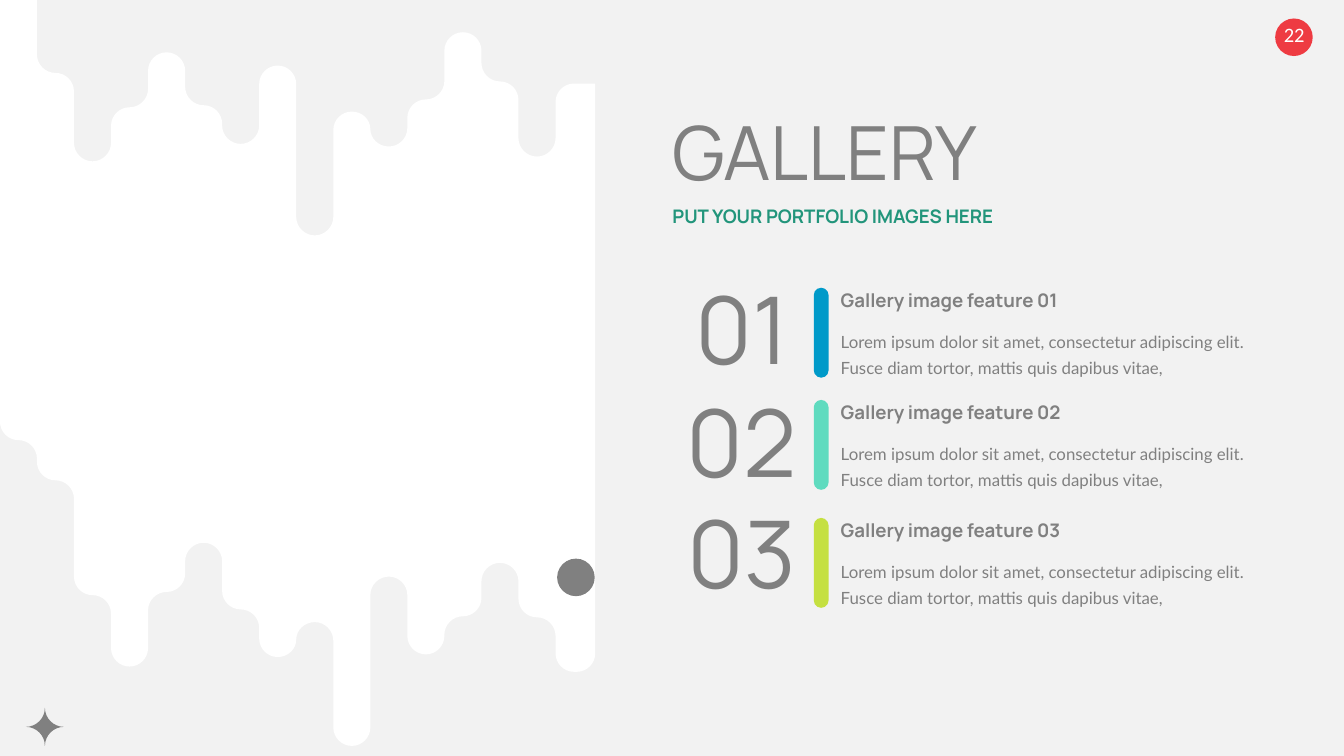
import math

import lxml.etree
import pptx
import pptx.dml.color
import pptx.enum.shapes
import pptx.enum.text
import pptx.oxml.ns
import pptx.util

Cm = pptx.util.Cm
Pt = pptx.util.Pt
RGBColor = pptx.dml.color.RGBColor
ALIGN = pptx.enum.text.PP_ALIGN
ANCHOR = pptx.enum.text.MSO_ANCHOR
SHAPE = pptx.enum.shapes.MSO_SHAPE

PALE = RGBColor(0xF2, 0xF2, 0xF2)
WHITE = RGBColor(0xFF, 0xFF, 0xFF)
GREY = RGBColor(0x80, 0x80, 0x80)
RED = RGBColor(0xEE, 0x3B, 0x42)
GREEN = RGBColor(0x22, 0x95, 0x7B)
BLUE = RGBColor(0x00, 0x9A, 0xC9)
MINT = RGBColor(0x5F, 0xDB, 0xBF)
LIME = RGBColor(0xC5, 0xE0, 0x41)

deck = pptx.Presentation()
deck.slide_width = Cm(25.4)
deck.slide_height = Cm(14.29)
page = deck.slides.add_slide(deck.slide_layouts[6])
page.background.fill.solid()
page.background.fill.fore_color.rgb = PALE


def add_pill(left, top, width, height, color):
    pill = page.shapes.add_shape(SHAPE.ROUNDED_RECTANGLE, Cm(left), Cm(top), Cm(width), Cm(height))
    pill.adjustments[0] = 0.5
    pill.shadow.inherit = False
    pill.fill.solid()
    pill.fill.fore_color.rgb = color
    pill.line.fill.background()


def add_text(text, left, top, width, height, size, font, color, bold=False,
             margins=(0, 0, 0, 0), align=ALIGN.LEFT, anchor=ANCHOR.TOP,
             spacing=0.9, before=0):
    box = page.shapes.add_textbox(Cm(left), Cm(top), Cm(width), Cm(height))
    frame = box.text_frame
    frame.word_wrap = True
    frame.vertical_anchor = anchor
    frame.margin_left, frame.margin_top, frame.margin_right, frame.margin_bottom = map(Cm, margins)
    para = frame.paragraphs[0]
    para.text = text
    para.alignment = align
    para.line_spacing = spacing
    para.space_before = Pt(before)
    para.font.size = Pt(size)
    para.font.name = font
    para.font.bold = bold
    para.font.color.rgb = color


# Page number badge
add_pill(24.1, 0.35, 0.71, 0.71, RED)
add_text("22", 23.7, 0.26, 1.52, 0.76, 11, "Calibri", WHITE,
         margins=(0.25, 0.13, 0.25, 0.13), align=ALIGN.CENTER, anchor=ANCHOR.MIDDLE, spacing=1.0)

# Dripping panel: one top and one bottom level per column, joined by rounded steps
COLUMN_WIDTH = 0.7
PANEL_RIGHT = 11.25
TOP_LEVELS = [-1.32, 1.38, 3.05, 2.03, 0.99, 1.99, 2.72, 1.24,
              4.45, 2.11, 2.77, 1.88, 0.61, 1.54, 2.96, 1.58]
BOTTOM_LEVELS = [8.32, 9.08, 11.25, 12.6, 11.19, 10.26, 11.52, 12.42,
                 11.76, 14.1, 10.9, 12.37, 11.65, 10.64, 11.67, 12.7]
edges = [column * COLUMN_WIDTH for column in range(len(TOP_LEVELS))] + [PANEL_RIGHT]
top_corners = []
bottom_corners = []
for levels, corners in ((TOP_LEVELS, top_corners), (BOTTOM_LEVELS, bottom_corners)):
    for column, level in enumerate(levels):
        corners += [(edges[column], level), (edges[column + 1], level)]
corners = top_corners + bottom_corners[::-1]
square_corners = {top_corners[0], top_corners[1], top_corners[-1]}

panel_arcs = []
for index, corner in enumerate(corners):
    ends = []
    for neighbour in (corners[index - 1], corners[(index + 1) % len(corners)]):
        length = math.dist(corner, neighbour)
        reach = 0 if corner in square_corners else min(COLUMN_WIDTH, length) / 2 / length
        ends.append(tuple(c + (n - c) * reach for c, n in zip(corner, neighbour)))
    panel_arcs.append((ends[0], corner, ends[1]))

# Four-pointed star: two halves of concave arcs from tip to tip
STAR_X, STAR_Y, STAR_RADIUS = 0.85, 13.74, 0.36
center = (STAR_X, STAR_Y)
top_tip = (STAR_X, STAR_Y - STAR_RADIUS)
bottom_tip = (STAR_X, STAR_Y + STAR_RADIUS)
star_halves = []
for side in (-1, 1):
    side_tip = (STAR_X + side * STAR_RADIUS, STAR_Y)
    star_halves.append([(top_tip, center, side_tip), (side_tip, center, bottom_tip)])

# Draw the outlines, turning the control points of each arc into a Bezier curve
ROUNDNESS = 0.55
star = None
for arcs, color in [(panel_arcs, WHITE)] + [(half, GREY) for half in star_halves]:
    points = []
    curve_starts = []
    for start, corner, end in arcs:
        if start == end:
            points.append(corner)
            continue
        if not points or points[-1] != start:
            points.append(start)
        curve_starts.append(len(points) - 1)
        points += [tuple(p + (c - p) * ROUNDNESS for p, c in zip(tip, corner))
                   for tip in (start, end)]
        points.append(end)
    outline = [(Cm(x), Cm(y)) for x, y in points]
    if color == GREY and star is None:
        star = page.shapes.add_group_shape()
    shapes = star.shapes if color == GREY else page.shapes
    builder = shapes.build_freeform(*outline[0])
    builder.add_line_segments(outline[1:], close=True)
    figure = builder.convert_to_shape()
    figure.shadow.inherit = False
    figure.fill.solid()
    figure.fill.fore_color.rgb = color
    figure.line.fill.background()

    track = figure.element.find(".//" + pptx.oxml.ns.qn("a:path"))
    nodes = list(track)
    for first in curve_starts:
        curve = lxml.etree.Element(pptx.oxml.ns.qn("a:cubicBezTo"))
        nodes[first + 1].addprevious(curve)
        for node in nodes[first + 1:first + 4]:
            curve.append(node[0])
            track.remove(node)

# Dot on the panel
add_pill(10.53, 10.56, 0.71, 0.71, GREY)

# Headings
heading_margins = (0, 0.13, 0.25, 0.13)
add_text("GALLERY", 12.71, 2.06, 11.4, 1.6, 40, "Manrope", GREY,
         margins=heading_margins, before=10)
add_text("PUT YOUR PORTFOLIO IMAGES HERE", 12.71, 3.8, 11.4, 0.61, 10, "Manrope", GREEN,
         bold=True, margins=heading_margins, before=10)

# Features: number, bar colour, top of the bar, top of the number
features = [("01", BLUE, 5.44, 5.46), ("02", MINT, 7.56, 7.6), ("03", LIME, 9.79, 9.7)]
feature_margins = (0, 0.2, 0, 0.2)
for number, color, bar_top, number_top in features:
    add_text(f"Gallery image feature {number}", 15.89, bar_top - 0.13, 8.2, 0.84, 10, "Manrope",
             GREY, bold=True, margins=feature_margins, before=7.5)
    add_text("Lorem ipsum dolor sit amet, consectetur adipiscing elit. "
             "Fusce diam tortor, mattis quis dapibus vitae,",
             15.89, bar_top + 0.72, 8.2, 0.99, 9, "Lato", GREY, spacing=Pt(14), before=7.5)
    add_pill(15.38, bar_top, 0.28, 1.7, color)
for number, color, bar_top, number_top in features:
    add_text(number, 12.9, number_top, 2.24, 1.7, 50, "Manrope", GREY,
             margins=feature_margins, align=ALIGN.CENTER, anchor=ANCHOR.MIDDLE, before=7.5)

deck.save("out.pptx")
